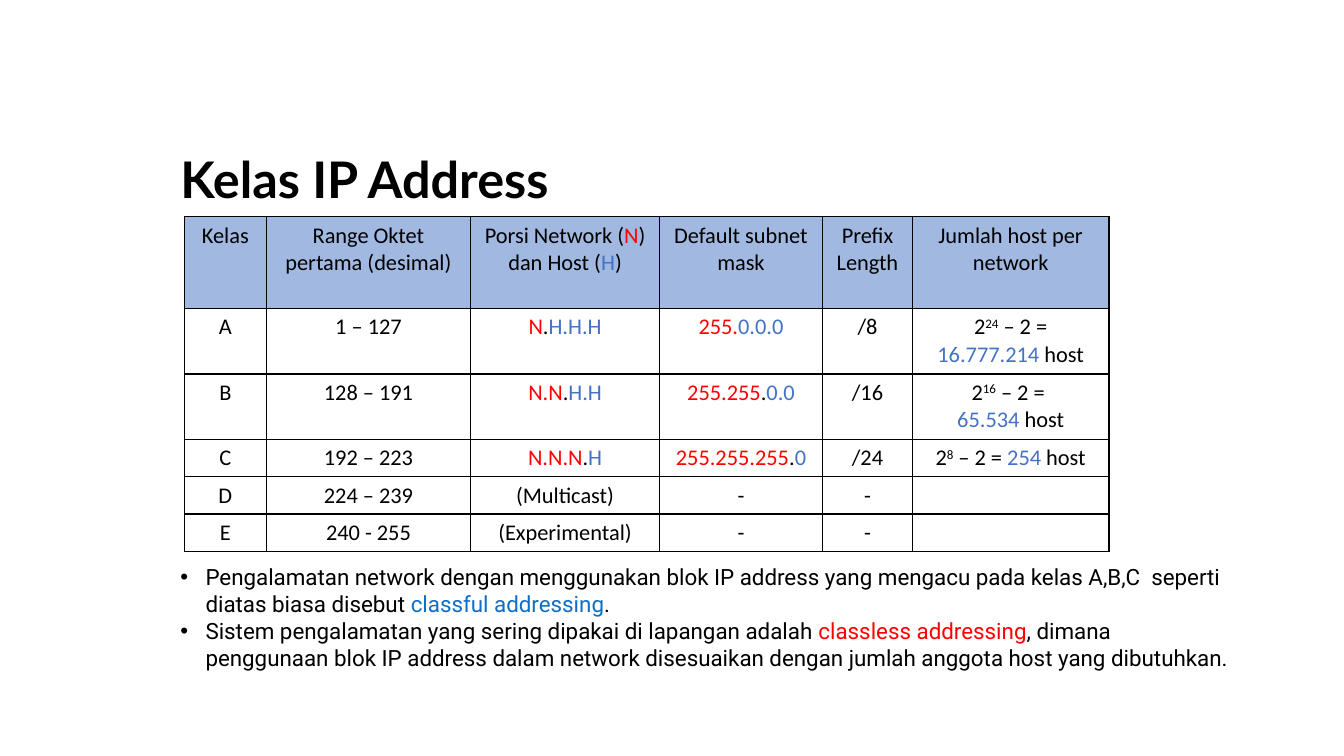
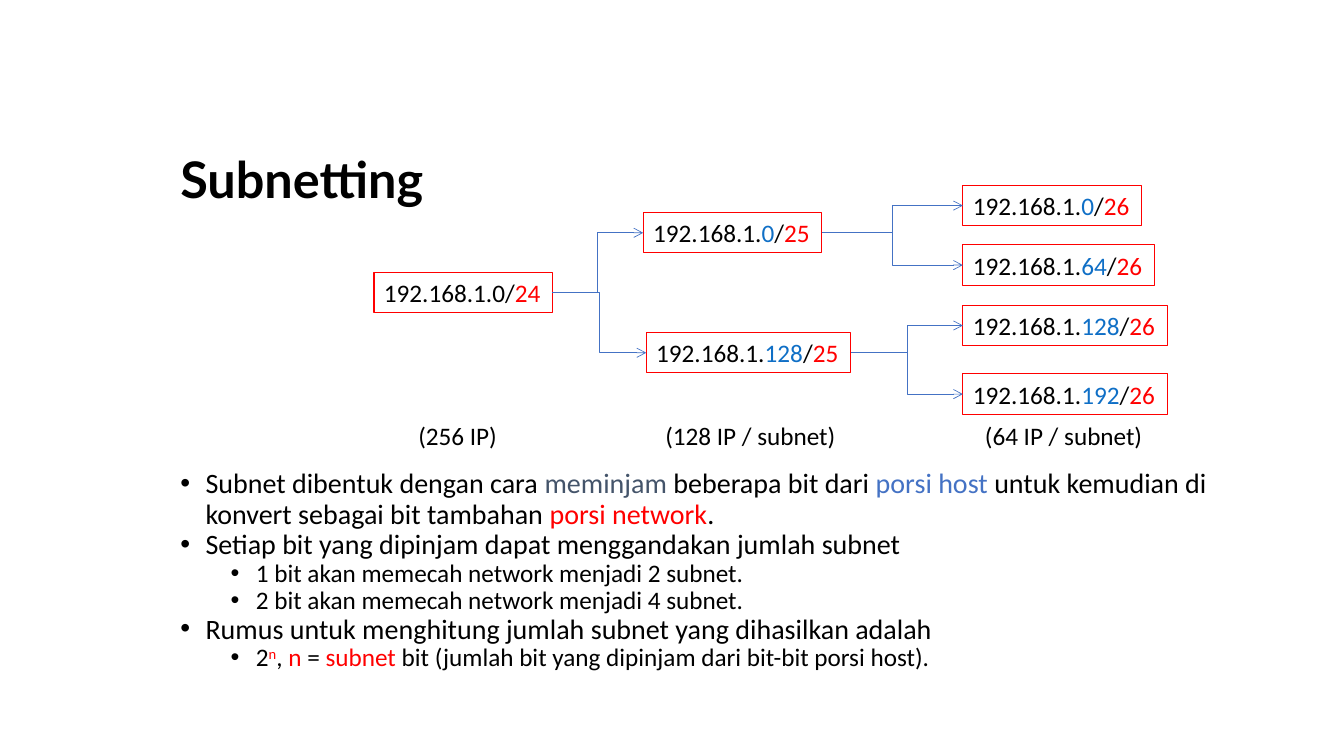
from lxml.etree import SubElement
from pptx import Presentation
from pptx.dml.color import RGBColor
from pptx.enum.shapes import MSO_CONNECTOR, MSO_SHAPE
from pptx.enum.text import MSO_ANCHOR, MSO_AUTO_SIZE, PP_ALIGN
from pptx.oxml.ns import qn
from pptx.util import Inches, Pt

COLORS = {
    "black": "000000",
    "red": "FF0000",
    "blue": "4472C4",
    "link": "0F6FC6",
    "slate": "44546A",
}
TITLE_BOX = (1.69, 1.36, 10.66, 0.89)
TITLE_FONT = {"name": "Lato", "size": Pt(36), "bold": True}
ROBOTO_16 = {"name": "Roboto", "size": Pt(16)}
CALIBRI_16 = {"name": "Calibri", "size": Pt(16)}
CALIBRI_18 = {"name": "Calibri", "size": Pt(18)}
CALIBRI_20 = {"name": "Calibri", "size": Pt(20)}
HUGGING = {"word_wrap": False, "auto_size": MSO_AUTO_SIZE.SHAPE_TO_FIT_TEXT}


# Shared helpers
def color(name):
    return RGBColor.from_string(COLORS[name])


def set_values(target, values):
    for name, value in values.items():
        setattr(target, name, value)


def inches(box):
    return [Inches(length) for length in box]


def add_runs(paragraph, parts, font):
    """Parts is a string, or a tuple of strings and (text, colour, superscript)."""
    for part in (parts,) if isinstance(parts, str) else parts:
        text, tint, raised = (part, "black", False) if isinstance(part, str) else part
        run = paragraph.add_run()
        run.text = text
        set_values(run.font, font)
        run.font.color.rgb = color(tint)
        if raised:
            run.font._element.set("baseline", "30000")


def red(text, raised=False):
    return text, "red", raised


def blue(text):
    return text, "blue", False


def link(text):
    return text, "link", False


def power(text):
    return text, "black", True


def add_paragraph(frame, index):
    return frame.add_paragraph() if index else frame.paragraphs[0]


def add_text(slide, box, parts, font, frame_format, paragraph_format):
    frame = slide.shapes.add_textbox(*inches(box)).text_frame
    set_values(frame, frame_format)
    set_values(frame.paragraphs[0], paragraph_format)
    add_runs(frame.paragraphs[0], parts, font)


def add_title(slide, text):
    add_text(slide, TITLE_BOX, text, TITLE_FONT,
             {"word_wrap": True, "vertical_anchor": MSO_ANCHOR.MIDDLE},
             {"line_spacing": 0.9})


def add_bullets(slide, box, items, fonts, line_spacing):
    """Items are (level, parts); fonts holds one format for each level."""
    frame = slide.shapes.add_textbox(*inches(box)).text_frame
    frame.word_wrap = True
    for index, (level, parts) in enumerate(items):
        paragraph = add_paragraph(frame, index)
        set_values(paragraph, {"level": level, "line_spacing": line_spacing})
        properties = paragraph._p.get_or_add_pPr()
        properties.set("marL", str(Inches(0.25 + 0.5 * level)))
        properties.set("indent", str(Inches(-0.25)))
        SubElement(properties, qn("a:buFont"), typeface="Arial")
        SubElement(properties, qn("a:buChar"), char="•")
        add_runs(paragraph, parts, fonts[level])


# Table of address classes
def style_cell(cell, is_header):
    properties = cell._tc.get_or_add_tcPr()
    for side in ("lnL", "lnR", "lnT", "lnB"):
        border = SubElement(properties, qn(f"a:{side}"), w=str(Pt(1)))
        fill = SubElement(border, qn("a:solidFill"))
        SubElement(fill, qn("a:srgbClr"), val=COLORS["black"])
    if is_header:
        cell.fill.solid()
        cell.fill.fore_color.rgb = color("blue")
        tint = properties.find(qn("a:solidFill")).find(qn("a:srgbClr"))
        SubElement(tint, qn("a:alpha"), val="50000")
    else:
        cell.fill.background()


def add_class_table(slide, box, widths, heights, rows):
    table = slide.shapes.add_table(len(rows), len(widths), *inches(box)).table
    set_values(table, {"first_row": False, "horz_banding": False})
    for column, width in zip(table.columns, widths):
        column.width = Inches(width)
    for row_index, (row, height) in enumerate(zip(rows, heights)):
        table.rows[row_index].height = Inches(height)
        for column_index, content in enumerate(row):
            cell = table.cell(row_index, column_index)
            style_cell(cell, row_index == 0)
            paragraphs = content if isinstance(content, list) else [content]
            for index, parts in enumerate(paragraphs):
                paragraph = add_paragraph(cell.text_frame, index)
                paragraph.alignment = PP_ALIGN.CENTER
                add_runs(paragraph, parts or (), CALIBRI_16)
                if not parts:
                    set_values(paragraph.font, CALIBRI_16)


# Tree of subnets
def add_subnet(slide, left, top, host, prefix, host_color):
    width = 1.64 + 0.13 * len(host)
    shape = slide.shapes.add_shape(MSO_SHAPE.RECTANGLE, *inches((left, top, width, 0.4)))
    shape.shadow.inherit = False
    shape.fill.background()
    shape.line.color.rgb = color("red")
    shape.line.width = Pt(0.75)
    set_values(shape.text_frame, HUGGING)
    paragraph = shape.text_frame.paragraphs[0]
    paragraph.alignment = PP_ALIGN.LEFT
    add_runs(paragraph, ("192.168.1.", (host, host_color, False), "/", red(prefix)), CALIBRI_18)
    return shape


def add_branch(slide, parent, child):
    connector = slide.shapes.add_connector(MSO_CONNECTOR.ELBOW, 0, 0, 0, 0)
    connector.begin_connect(parent, 3)
    connector.end_connect(child, 1)
    connector.line.color.rgb = color("blue")
    connector.line.width = Pt(0.5)
    SubElement(connector.line._get_or_add_ln(), qn("a:tailEnd"), type="arrow")
    SubElement(connector._element.spPr, qn("a:effectLst"))


def add_subnet_tree(slide, origin, subnets, captions):
    left, top = origin
    shapes = []
    for parent, across, down, host, prefix in subnets:
        tint = "black" if parent is None else "link"
        shapes.append(add_subnet(slide, left + across, top + down, host, prefix, tint))
        if parent is not None:
            add_branch(slide, shapes[parent], shapes[-1])
    for across, width, text in captions:
        add_text(slide, (left + across, top + 2.28, width, 0.4), text, CALIBRI_18, HUGGING, {})


# Slides
def build_classes(slide):
    add_title(slide, "Kelas IP Address")
    add_bullets(slide, (1.69, 5.54, 10.66, 1.31), [
        (0, ("Pengalamatan network dengan menggunakan blok IP address yang mengacu pada "
             "kelas A,B,C  seperti diatas biasa disebut ", link("classful addressing"), ".")),
        (0, ("Sistem pengalamatan yang sering dipakai di lapangan adalah ",
             red("classless addressing"),
             ", dimana penggunaan blok IP address dalam network disesuaikan dengan "
             "jumlah anggota host yang dibutuhkan.")),
    ], [ROBOTO_16], 1.0)
    rows = [
        ("Kelas", "Range Oktet pertama (desimal)",
         ("Porsi Network (", red("N"), ") dan Host (", blue("H"), ")"),
         "Default subnet mask", "Prefix Length", "Jumlah host per network"),
        ("A", "1 – 127", (red("N"), ".", blue("H.H.H")), (red("255."), blue("0.0.0")), "/8",
         ("2", power("24"), " – 2 = ", blue("16.777.214"), " host")),
        ("B", "128 – 191", (red("N.N"), ".", blue("H.H")),
         (red("255.255"), ".", blue("0.0")), "/16",
         [("2", power("16"), " – 2 = "), (blue("65.534"), " host")]),
        ("C", "192 – 223", (red("N.N.N"), ".", blue("H")),
         (red("255.255.255"), ".", blue("0")), "/24",
         ("2", power("8"), " – 2 = ", blue("254"), " host")),
        ("D", "224 – 239", "(Multicast)", "-", "-", ""),
        ("E", "240 - 255", "(Experimental)", "-", "-", ""),
    ]
    add_class_table(slide, (1.83, 2.15, 9.17, 3.32), (0.81, 2.03, 1.87, 1.62, 0.89, 1.95),
                    (0.91, 0.65, 0.65, 0.37, 0.37, 0.37), rows)


def build_subnetting(slide):
    add_title(slide, "Subnetting")
    add_bullets(slide, (1.69, 4.61, 10.66, 2.19), [
        (0, ("Subnet dibentuk dengan cara ", ("meminjam ", "slate", False),
             "beberapa bit dari ", blue("porsi host "),
             "untuk kemudian di konvert sebagai bit tambahan ", red("porsi network"), ".")),
        (0, "Setiap bit yang dipinjam dapat menggandakan jumlah subnet"),
        (1, "1 bit akan memecah network menjadi 2 subnet."),
        (1, "2 bit akan memecah network menjadi 4 subnet."),
        (0, "Rumus untuk menghitung jumlah subnet yang dihasilkan adalah"),
        (1, ("2", red("n", True), ", ", red("n "), "= ", red("subnet"),
             " bit (jumlah bit yang dipinjam dari bit-bit porsi host).")),
    ], [CALIBRI_20, CALIBRI_18], 0.9)
    # Parent index, offset across and down, host octet, prefix length
    subnets = [
        (None, 0, 0.86, "0", "24"),
        (0, 2.67, 0.27, "0", "25"),
        (0, 2.7, 1.46, "128", "25"),
        (1, 5.84, 0, "0", "26"),
        (1, 5.84, 0.59, "64", "26"),
        (2, 5.84, 1.19, "128", "26"),
        (2, 5.84, 1.87, "192", "26"),
    ]
    captions = [
        (0.34, 0.99, "(256 IP)"),
        (2.79, 1.91, "(128 IP / subnet)"),
        (5.96, 1.78, "(64 IP / subnet)"),
    ]
    add_subnet_tree(slide, (3.71, 1.84), subnets, captions)


def main():
    presentation = Presentation()
    presentation.slide_width = Inches(13.33)
    presentation.slide_height = Inches(7.5)
    for build in (build_classes, build_subnetting):
        build(presentation.slides.add_slide(presentation.slide_layouts[6]))
    presentation.save("out.pptx")


if __name__ == "__main__":
    main()
